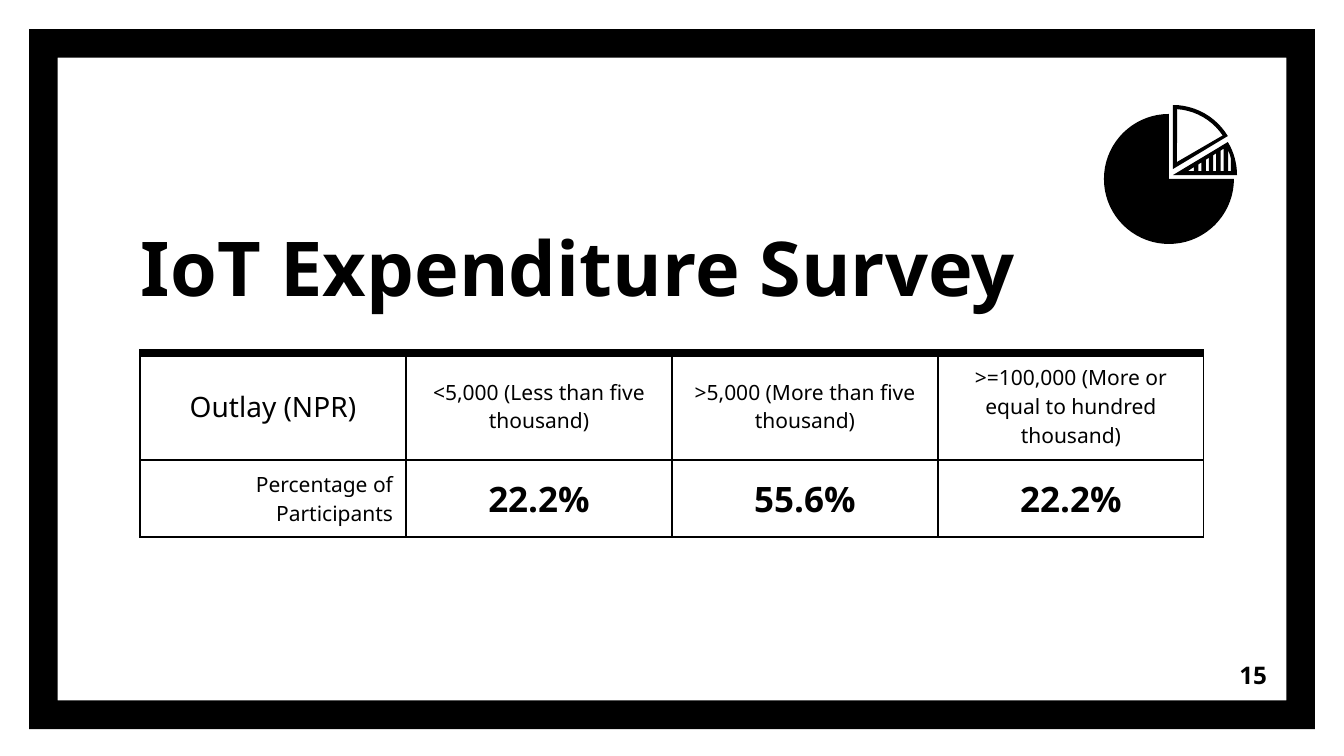
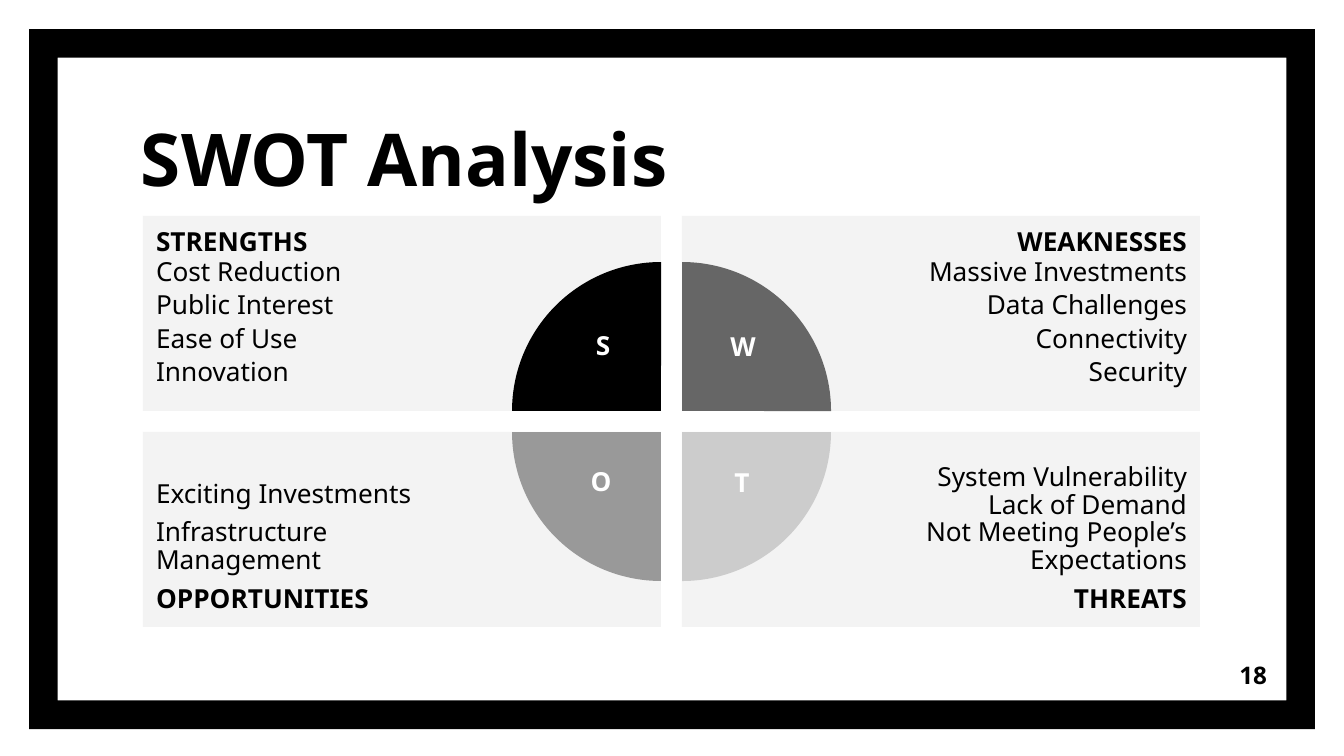
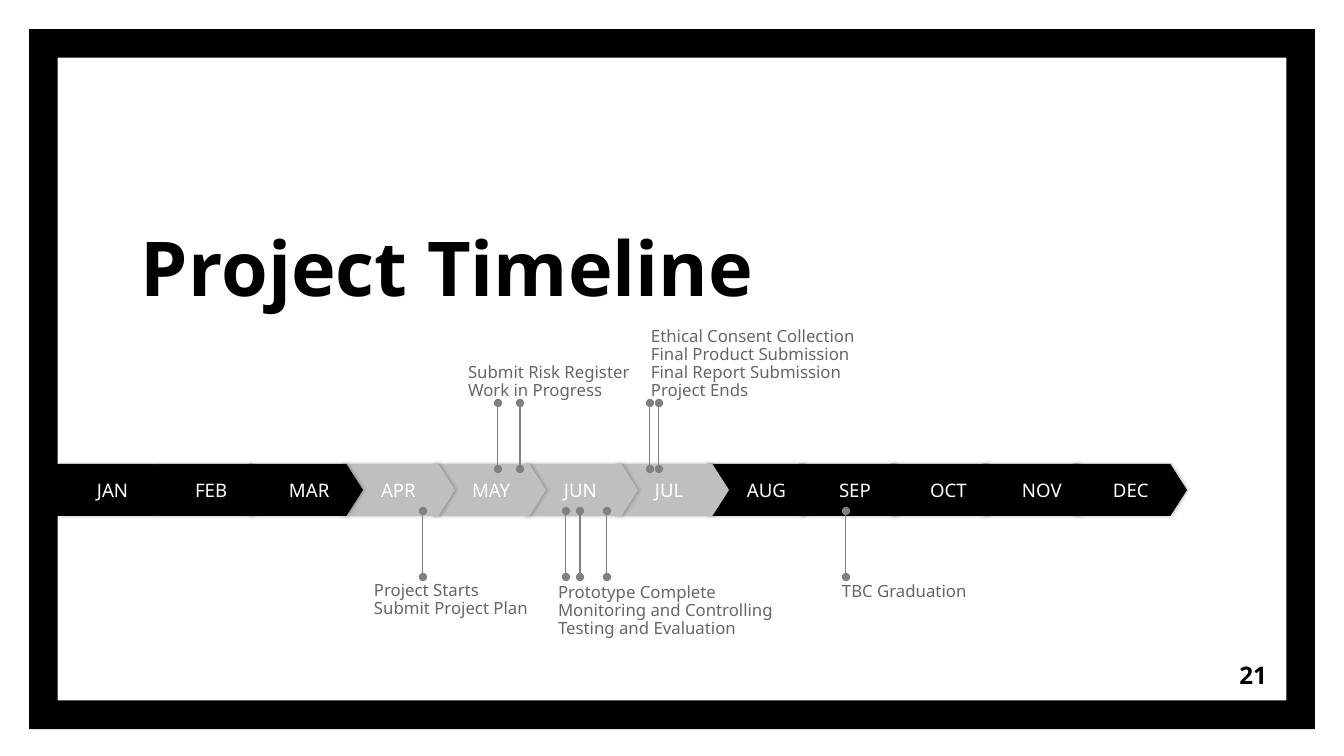
"""Build three framed slides: a survey table, a SWOT grid and a project timeline."""
from math import cos, radians, sin

from lxml import etree
from pptx import Presentation
from pptx.dml.color import RGBColor
from pptx.enum.shapes import MSO_CONNECTOR, MSO_SHAPE
from pptx.enum.text import MSO_ANCHOR, PP_ALIGN
from pptx.oxml.ns import qn
from pptx.util import Emu, Pt

LEFT, CENTER, RIGHT = PP_ALIGN.LEFT, PP_ALIGN.CENTER, PP_ALIGN.RIGHT
TOP, MIDDLE, BOTTOM = MSO_ANCHOR.TOP, MSO_ANCHOR.MIDDLE, MSO_ANCHOR.BOTTOM
FRAME, RECTANGLE, PIE, PLATE = MSO_SHAPE.FRAME, MSO_SHAPE.RECTANGLE, MSO_SHAPE.PIE, MSO_SHAPE.PENTAGON
STRAIGHT = MSO_CONNECTOR.STRAIGHT

BLACK = RGBColor(0x00, 0x00, 0x00)
WHITE = RGBColor(0xFF, 0xFF, 0xFF)
PANEL = RGBColor(0xF3, 0xF3, 0xF3)
DARK = RGBColor(0x66, 0x66, 0x66)
MEDIUM = RGBColor(0x99, 0x99, 0x99)
LIGHT = RGBColor(0xCC, 0xCC, 0xCC)
ACTIVE = RGBColor(0xBF, 0xBF, 0xBF)
PIN = RGBColor(0x80, 0x80, 0x80)

FONT = "Noto Sans"
SLIDE_WIDTH, SLIDE_HEIGHT = 1344, 756
SCALE = 12192000 / SLIDE_WIDTH
INSET = 13
INSETS = (INSET,) * 4

TABLE_AT = (140, 353)
COLUMN_WIDTH = 266
ROW_HEIGHTS = (107, 77)
SURVEY = [
    [("Outlay (NPR)", 20, False, CENTER),
     ("<5,000 (Less than five thousand)", 15, False, CENTER),
     (">5,000 (More than five thousand)", 15, False, CENTER),
     (">=100,000 (More or equal to hundred\nthousand)", 15, False, CENTER)],
    [("Percentage of Participants", 15, False, RIGHT),
     ("22.2%", 25, True, CENTER),
     ("55.6%", 25, True, CENTER),
     ("22.2%", 25, True, CENTER)],
]

PANEL_LEFT, PANEL_TOP, PANEL_WIDTH, PANEL_HEIGHT, PANEL_GAP = 143, 216, 518, 195, 21
PIE_RADIUS = 149
SWOT = [
    dict(heading="STRENGTHS", column=0, row=0, fill=BLACK, turn=0, letter_at=(603, 324), spaces=(2, 2),
         items=["Cost Reduction", "Public Interest", "Ease of Use", "Innovation"]),
    dict(heading="WEAKNESSES", column=1, row=0, fill=DARK, turn=90, letter_at=(743, 325), spaces=(2, 2),
         items=["Massive Investments", "Data Challenges", "Connectivity", "Security"]),
    dict(heading="OPPORTUNITIES", column=0, row=1, fill=MEDIUM, turn=270, letter_at=(601, 460), spaces=(8, 0),
         items=["Exciting Investments", "Infrastructure Management"]),
    dict(heading="THREATS", column=1, row=1, fill=LIGHT, turn=180, letter_at=(742, 461), spaces=(0, 0),
         items=["System Vulnerability", "Lack of Demand", "Not Meeting People’s Expectations"]),
]

MONTHS = ["JAN", "FEB", "MAR", "APR", "MAY", "JUN", "JUL", "AUG", "SEP", "OCT", "NOV", "DEC"]
ACTIVE_MONTHS = MONTHS[3:7]
MONTH_LEFTS = [57, 155] + [249 + round(91.6 * step) for step in range(10)]
PINS = [((498, 520, 650, 659), 469, 403), ((423, 566, 580, 607, 846), 577, 511)]
NOTES = [
    (468, 330, 173, BOTTOM, ["Submit Risk Register", "Work in Progress"]),
    (651, 330, 238, BOTTOM, ["Ethical Consent Collection", "Final Product Submission",
                             "Final Report Submission", "Project Ends"]),
    (374, 582, 173, TOP, ["Project Starts", "Submit Project Plan"]),
    (558, 584, 238, TOP, ["Prototype Complete", "Monitoring and Controlling", "Testing and Evaluation"]),
    (842, 583, 173, TOP, ["TBC Graduation"]),
]


def px(length):
    return Emu(round(length * SCALE))


def assign(target, values):
    for name, value in values.items():
        setattr(target, name, value)


def write(frame, lines, size, color=BLACK, bold=False, align=LEFT, spacing=1.0):
    """Fill a text frame; a line is a string or (text, bold, before, after)."""
    for index, line in enumerate(lines):
        text, heavy, before, after = (line, bold, 0, 0) if isinstance(line, str) else line
        para = frame.add_paragraph() if index else frame.paragraphs[0]
        assign(para, dict(alignment=align, line_spacing=spacing,
                          space_before=Pt(before), space_after=Pt(after)))
        span = para.add_run()
        span.text = text
        assign(span.font, dict(name=FONT, size=Pt(size), bold=heavy))
        span.font.color.rgb = color


def set_margins(target, insets):
    names = ("margin_left", "margin_top", "margin_right", "margin_bottom")
    assign(target, dict(zip(names, map(px, insets))))


def add_text(page, place, lines, size, anchor=TOP, insets=INSETS, **style):
    box = page.shapes.add_textbox(*map(px, place))
    assign(box.text_frame, dict(word_wrap=True, vertical_anchor=anchor))
    set_margins(box.text_frame, insets)
    write(box.text_frame, lines, size, **style)


def paint(shape, color):
    shape.shadow.inherit = False
    shape.fill.solid()
    shape.fill.fore_color.rgb = color
    shape.line.fill.background()
    return shape


def add_block(page, kind, place, color):
    return paint(page.shapes.add_shape(kind, *map(px, place)), color)


def start_page(deck, title, number, title_size=54, title_width=749, title_height=200):
    page = deck.slides.add_slide(deck.slide_layouts[6])
    add_block(page, FRAME, (29, 29, 1286, 700), BLACK).adjustments[0] = 0.041
    add_text(page, (128, 125, title_width, title_height), [title], title_size, BOTTOM, bold=True)
    add_text(page, (1200, 646, 80, 57), [str(number)], 17.3, MIDDLE, bold=True, align=RIGHT)
    return page


def arc(center, radius, start, end):
    steps = max(8, round((end - start) / 5))
    angles = [radians(start + (end - start) * step / steps) for step in range(steps + 1)]
    return [(center[0] + radius * cos(angle), center[1] + radius * sin(angle)) for angle in angles]


def add_outline(page, contours):
    first, *others = [[(px(x), px(y)) for x, y in contour] for contour in contours]
    builder = page.shapes.build_freeform(*first[0])
    builder.add_line_segments(first[1:], close=True)
    for contour in others:
        builder.move_to(*contour[0])
        builder.add_line_segments(contour[1:], close=True)
    paint(builder.convert_to_shape(), BLACK)


def add_pie_icon(page):
    body, striped, hollow = (1169, 179), (1173, 175), (1173, 169)
    add_outline(page, [[body] + arc(body, 65, 0, 270)])
    slits = [[(1188, 171), (1194, 171), (1194, 167)],
             [(1228, 150), (1230, 155), (1231, 159), (1231, 171), (1228, 171)]]
    for step in range(1, 5):
        right = 1194 + 7.4 * step
        top = 167 - 0.62 * (right - 1194)
        slits.append([(right - 3, 171), (right, 171), (right, top), (right - 3, top + 2)])
    add_outline(page, [[striped] + arc(striped, 64, -31, 0)] + slits)
    add_outline(page, [[hollow] + arc(hollow, 64, 270, 329),
                       [(1177, 162)] + arc(hollow, 60, 274, 326)])


def set_borders(cell, top_width):
    properties = cell._tc.get_or_add_tcPr()
    for index, (side, width) in enumerate([("L", 1), ("R", 1), ("T", top_width), ("B", 1)]):
        border = etree.Element(qn(f"a:ln{side}"), w=str(Pt(width)))
        fill = etree.SubElement(border, qn("a:solidFill"))
        etree.SubElement(fill, qn("a:srgbClr"), val=str(BLACK))
        properties.insert(index, border)


def build_survey(deck):
    page = start_page(deck, "IoT Expenditure Survey", 15, title_width=912)
    columns = len(SURVEY[0])
    place = (*TABLE_AT, COLUMN_WIDTH * columns, sum(ROW_HEIGHTS))
    table = page.shapes.add_table(len(SURVEY), columns, *map(px, place)).table
    assign(table, dict(first_row=False, horz_banding=False))
    for column in table.columns:
        column.width = px(COLUMN_WIDTH)
    for row_index, row in enumerate(SURVEY):
        table.rows[row_index].height = px(ROW_HEIGHTS[row_index])
        for column_index, (text, size, bold, align) in enumerate(row):
            cell = table.cell(row_index, column_index)
            cell.vertical_anchor = MIDDLE
            set_margins(cell, (13, 10, 13, 10))
            cell.fill.background()
            set_borders(cell, 1 if row_index else 6)
            write(cell.text_frame, text.split("\n"), size, bold=bold, align=align)
    add_pie_icon(page)


def build_swot(deck):
    page = start_page(deck, "SWOT Analysis", 18, title_size=52, title_height=89)
    for part in SWOT:
        column, row = part["column"], part["row"]
        left = PANEL_LEFT + column * (PANEL_WIDTH + PANEL_GAP)
        top = PANEL_TOP + row * (PANEL_HEIGHT + PANEL_GAP)
        panel = add_block(page, RECTANGLE, (left, top, PANEL_WIDTH, PANEL_HEIGHT), PANEL)
        frame = panel.text_frame
        assign(frame, dict(word_wrap=True, vertical_anchor=BOTTOM if row else TOP))
        set_margins(frame, (202, 13, 13, 13) if column else (13, 13, 202, 13))
        items = [(item, False, *part["spaces"]) for item in part["items"]]
        heading = part["heading"]
        lines = items + [(heading, True, 8, 8)] if row else [(heading, True, 0, 0)] + items
        write(frame, lines, 18.7, align=RIGHT if column else LEFT, spacing=0.88)
    for part in SWOT:
        center_x = PANEL_LEFT + PANEL_WIDTH + part["column"] * PANEL_GAP
        center_y = PANEL_TOP + PANEL_HEIGHT + part["row"] * PANEL_GAP
        place = (center_x - PIE_RADIUS, center_y - PIE_RADIUS, 2 * PIE_RADIUS, 2 * PIE_RADIUS)
        quarter = add_block(page, PIE, place, part["fill"])
        quarter.adjustments[0], quarter.adjustments[1] = 108, 162
        quarter.rotation = part["turn"]
        letter_x, letter_y = part["letter_at"]
        add_text(page, (letter_x - 37, letter_y, 74, 50), [part["heading"][0]], 18.7,
                 insets=(10, 5, 10, 5), color=WHITE, bold=True, align=CENTER)


def add_soft_shadow(shape):
    effects = shape._element.spPr.find(qn("a:effectLst"))
    shadow = etree.SubElement(effects, qn("a:outerShdw"), blurRad=str(Pt(2.2)), dist=str(Pt(0.8)), dir="0")
    color = etree.SubElement(shadow, qn("a:srgbClr"), val=str(BLACK))
    etree.SubElement(color, qn("a:alpha"), val="20000")


def add_pin(page, x, start, end):
    pin = page.shapes.add_connector(STRAIGHT, px(x), px(start), px(x), px(end))
    pin.line.color.rgb = PIN
    pin.line.width = Pt(0.75)
    for tag in ("a:headEnd", "a:tailEnd"):
        etree.SubElement(pin.line._get_or_add_ln(), qn(tag), type="oval")
    etree.SubElement(pin._element.spPr, qn("a:effectLst"))


def build_timeline(deck):
    page = start_page(deck, "Project Timeline", 21)
    for month, left in reversed(list(zip(MONTHS, MONTH_LEFTS))):
        plate = add_block(page, PLATE, (left, 464, 114, 52), ACTIVE if month in ACTIVE_MONTHS else BLACK)
        plate.adjustments[0] = 0.32
        add_soft_shadow(plate)
        plate.text_frame.vertical_anchor = MIDDLE
        set_margins(plate.text_frame, (40, 0, 0, 0))
        write(plate.text_frame, [month], 13.3, color=WHITE)
    for places, start, end in PINS:
        for x in places:
            add_pin(page, x, start, end)
    for left, top, width, anchor, lines in NOTES:
        add_text(page, (left, top, width, 70), lines, 12, anchor, (0, 0, 0, 0), color=DARK, spacing=0.89)


def main():
    deck = Presentation()
    assign(deck, dict(slide_width=px(SLIDE_WIDTH), slide_height=px(SLIDE_HEIGHT)))
    build_survey(deck)
    build_swot(deck)
    build_timeline(deck)
    deck.save("out.pptx")


if __name__ == "__main__":
    main()
